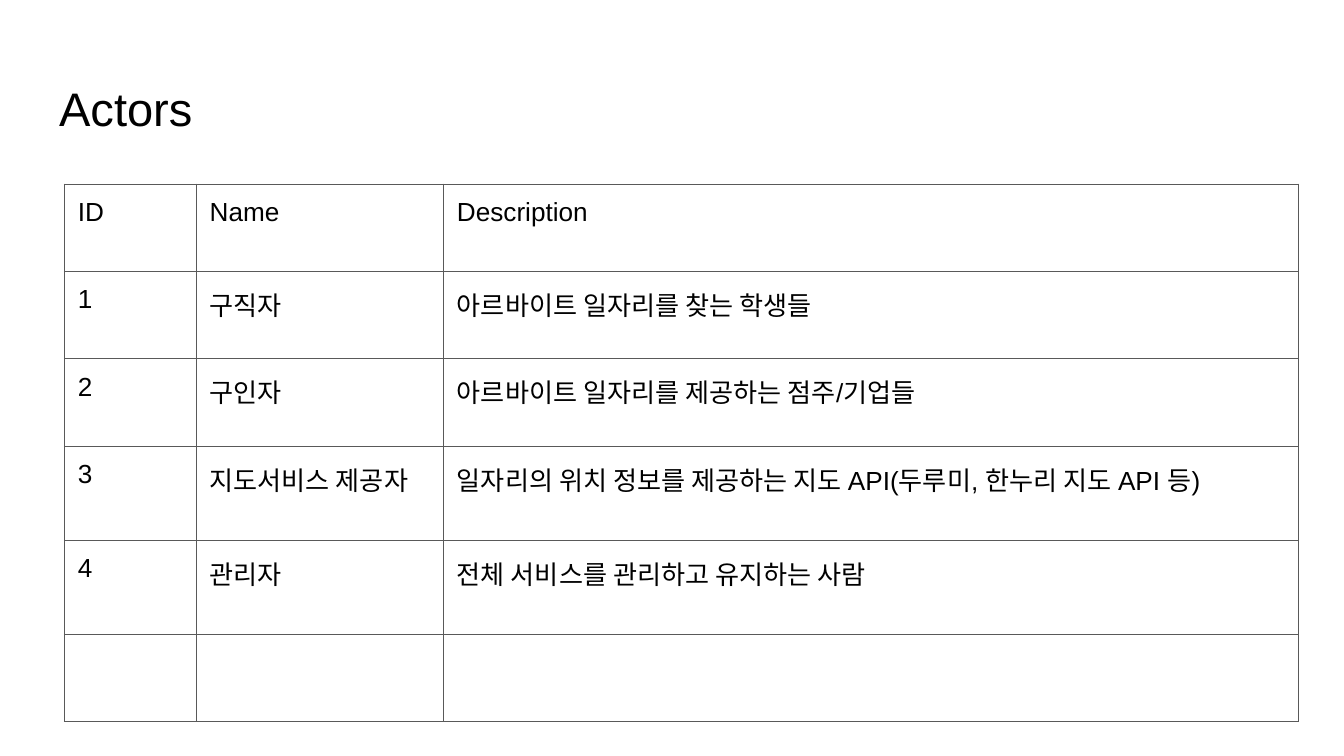
from pptx import Presentation
from pptx import util as u
from pptx.dml.color import RGBColor
from pptx.enum import text
from pptx.oxml import parse_xml
from pptx.oxml.ns import nsdecls

TITLE = "Actors"
ROWS = [
    ("ID", "Name", "Description"),
    ("1", "구직자", "아르바이트 일자리를 찾는 학생들"),
    ("2", "구인자", "아르바이트 일자리를 제공하는 점주/기업들"),
    ("3", "지도서비스 제공자", "일자리의 위치 정보를 제공하는 지도 API(두루미, 한누리 지도 API 등)"),
    ("4", "관리자", "전체 서비스를 관리하고 유지하는 사람"),
    ("", "", ""),
]
WIDTHS = [0.98, 1.84, 6.36]
HEIGHTS = [0.65, 0.65, 0.65, 0.7, 0.7, 0.65]
INK, LINE = "000000", "595959"
PAD = {f"margin_{side}": u.Inches(0.1) for side in ("left", "right", "top", "bottom")}


def color(code):
    return RGBColor.from_string(code)


def assign(item, values):
    for key, value in values.items():
        setattr(item, key, value)


def write(frame, words, size):
    frame.text = words
    para = frame.paragraphs[0]
    para.alignment = text.PP_ALIGN.LEFT
    for font in [para.font] + [run.font for run in para.runs]:
        assign(font, {"name": "Arial", "size": u.Pt(size), "bold": False})
        font.color.rgb = color(INK)


def border(cell):
    props = cell._tc.get_or_add_tcPr()
    for place, side in enumerate(("lnL", "lnR", "lnT", "lnB")):
        props.insert(place, parse_xml(
            f'<a:{side} {nsdecls("a")} w="{u.Pt(0.75)}"><a:solidFill>'
            f'<a:srgbClr val="{LINE}"/></a:solidFill></a:{side}>'))


def add_title(slide):
    title = slide.shapes.title
    assign(title, {"left": u.Inches(0.34), "top": u.Inches(0.49),
                   "width": u.Inches(9.32), "height": u.Inches(0.63)})
    frame = title.text_frame
    assign(frame, {**PAD, "word_wrap": True, "auto_size": text.MSO_AUTO_SIZE.NONE,
                   "vertical_anchor": text.MSO_ANCHOR.MIDDLE})
    write(frame, TITLE, 25.2)


def add_grid(slide):
    grid = slide.shapes.add_table(
        len(ROWS), len(WIDTHS), u.Inches(0.48), u.Inches(1.37),
        u.Inches(sum(WIDTHS)), u.Inches(sum(HEIGHTS))).table
    assign(grid, {"first_row": False, "horz_banding": False})
    for col, width in zip(grid.columns, WIDTHS):
        col.width = u.Inches(width)
    for row, height, words in zip(grid.rows, HEIGHTS, ROWS):
        row.height = u.Inches(height)
        for cell, word in zip(row.cells, words):
            assign(cell, {**PAD, "vertical_anchor": text.MSO_ANCHOR.TOP})
            cell.fill.background()
            border(cell)
            write(cell.text_frame, word, 14)


def main():
    """Build the slide that lists the actors of the service."""
    deck = Presentation()
    wide = u.Inches(10)
    assign(deck, {"slide_width": wide, "slide_height": wide * 9 // 16})
    slide = deck.slides.add_slide(deck.slide_layouts[5])
    add_title(slide)
    add_grid(slide)
    deck.save("out.pptx")


if __name__ == "__main__":
    main()
